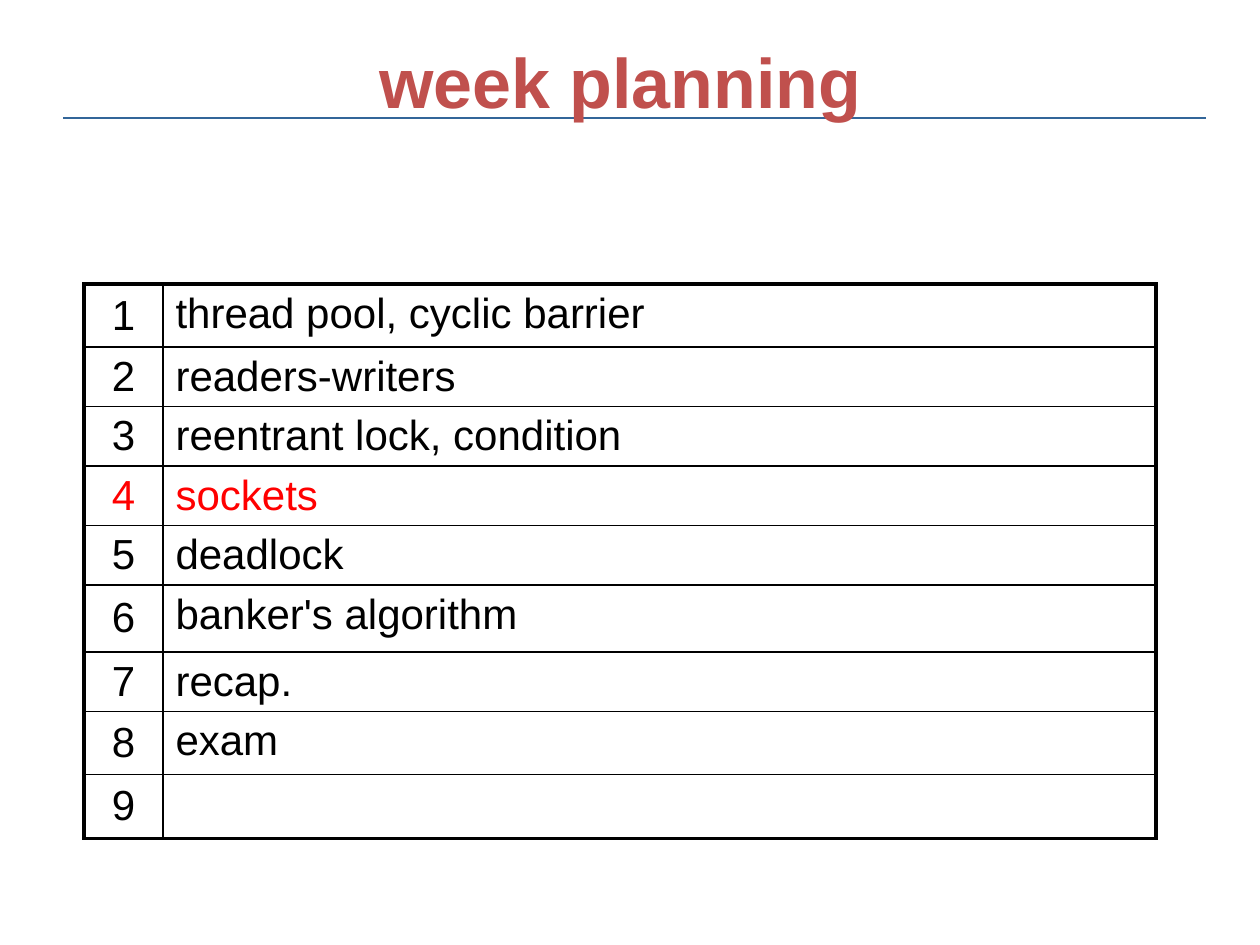
from dataclasses import dataclass

from lxml.etree import SubElement
from pptx import Presentation
from pptx.dml.color import RGBColor
from pptx.enum.shapes import MSO_CONNECTOR as Connector
from pptx.enum.text import MSO_ANCHOR as Anchor, PP_ALIGN as Align
from pptx.oxml.ns import qn
from pptx.util import Emu, Pt


@dataclass(frozen=True)
class Theme:
    font: str = "Arial"
    title_size: int = 40
    body_size: int = 24
    title: str = "C0504D"
    rule: str = "336699"
    text: str = "000000"
    current: str = "FF0000"
    border: str = "000000"
    thin: float = 1
    thick: float = 2.25


THEME = Theme()
TOPICS = [
    "thread pool, cyclic barrier",
    "readers-writers",
    "reentrant lock, condition",
    "sockets",
    "deadlock",
    "banker's algorithm",
    "recap.",
    "exam",
    "",
]
CURRENT_WEEK = 4
COLUMN_WIDTHS = [79, 993]
ROW_HEIGHT = 57
TALL_ROWS = {1: 63, 6: 67, 8: 63}


def px(n):
    return Emu(n * 914400 // 126)


def add_run(p, text, size, color, bold=False):
    r = p.add_run()
    r.text = text
    r.font.name = THEME.font
    r.font.size = Pt(size)
    r.font.bold = bold
    r.font.color.rgb = RGBColor.from_string(color)


def add_rule(slide, x1, x2, y):
    line = slide.shapes.add_connector(Connector.STRAIGHT, px(x1), px(y), px(x2), px(y))
    line.line.color.rgb = RGBColor.from_string(THEME.rule)
    line.line.width = Pt(1.5)
    SubElement(line._element.spPr, qn("a:effectLst"))


def set_title(slide, text):
    title = slide.shapes.title
    title.left, title.top, title.width, title.height = px(63), px(26), px(1134), px(110)
    tf = title.text_frame
    tf.word_wrap = True
    tf.vertical_anchor = Anchor.MIDDLE
    p = tf.paragraphs[0]
    p.alignment = Align.CENTER
    add_run(p, text, THEME.title_size, THEME.title, bold=True)
    # Bring the title in front of the rule
    slide.shapes._spTree.append(title._element)


def set_borders(cell, thick_sides):
    tcPr = cell._tc.get_or_add_tcPr()
    for side in "LRTB":
        width = THEME.thick if side in thick_sides else THEME.thin
        ln = SubElement(tcPr, qn(f"a:ln{side}"), w=str(Pt(width)))
        fill = SubElement(ln, qn("a:solidFill"))
        SubElement(fill, qn("a:srgbClr"), val=THEME.border)


def fill_cell(cell, text, color, align, anchor):
    cell.fill.background()
    cell.vertical_anchor = anchor
    p = cell.text_frame.paragraphs[0]
    p.alignment = align
    p.font.size = Pt(THEME.body_size)
    spacing = SubElement(p._p.get_or_add_pPr(), qn("a:spcBef"))
    SubElement(spacing, qn("a:spcPct"), val="20000")
    # Spacing comes before the default run properties
    spacing.getparent().insert(0, spacing)
    if text:
        add_run(p, text, THEME.body_size, color)


def add_schedule(slide, x, y):
    weeks = len(TOPICS)
    heights = [TALL_ROWS.get(week, ROW_HEIGHT) for week in range(1, weeks + 1)]
    frame = slide.shapes.add_table(weeks, 2, px(x), px(y),
                                   px(sum(COLUMN_WIDTHS)), px(sum(heights)))
    table = frame.table
    table.first_row = table.horz_banding = False
    for column, width in zip(table.columns, COLUMN_WIDTHS):
        column.width = px(width)
    for i, (topic, height) in enumerate(zip(TOPICS, heights)):
        week = i + 1
        table.rows[i].height = px(height)
        color = THEME.current if week == CURRENT_WEEK else THEME.text
        # Thick lines run only around the outside
        edge = ("T" if i == 0 else "") + ("B" if week == weeks else "")
        number, subject = table.cell(i, 0), table.cell(i, 1)
        set_borders(number, "L" + edge)
        set_borders(subject, "R" + edge)
        fill_cell(number, str(week), color, Align.CENTER, Anchor.MIDDLE)
        fill_cell(subject, topic, color, Align.LEFT, Anchor.TOP)


def main():
    prs = Presentation()
    prs.slide_width, prs.slide_height = px(1260), px(945)
    slide = prs.slides.add_slide(prs.slide_layouts[5])
    add_rule(slide, 63, 1206, 118)
    add_schedule(slide, 84, 284)
    set_title(slide, "week planning ")
    prs.save("out.pptx")


if __name__ == "__main__":
    main()
